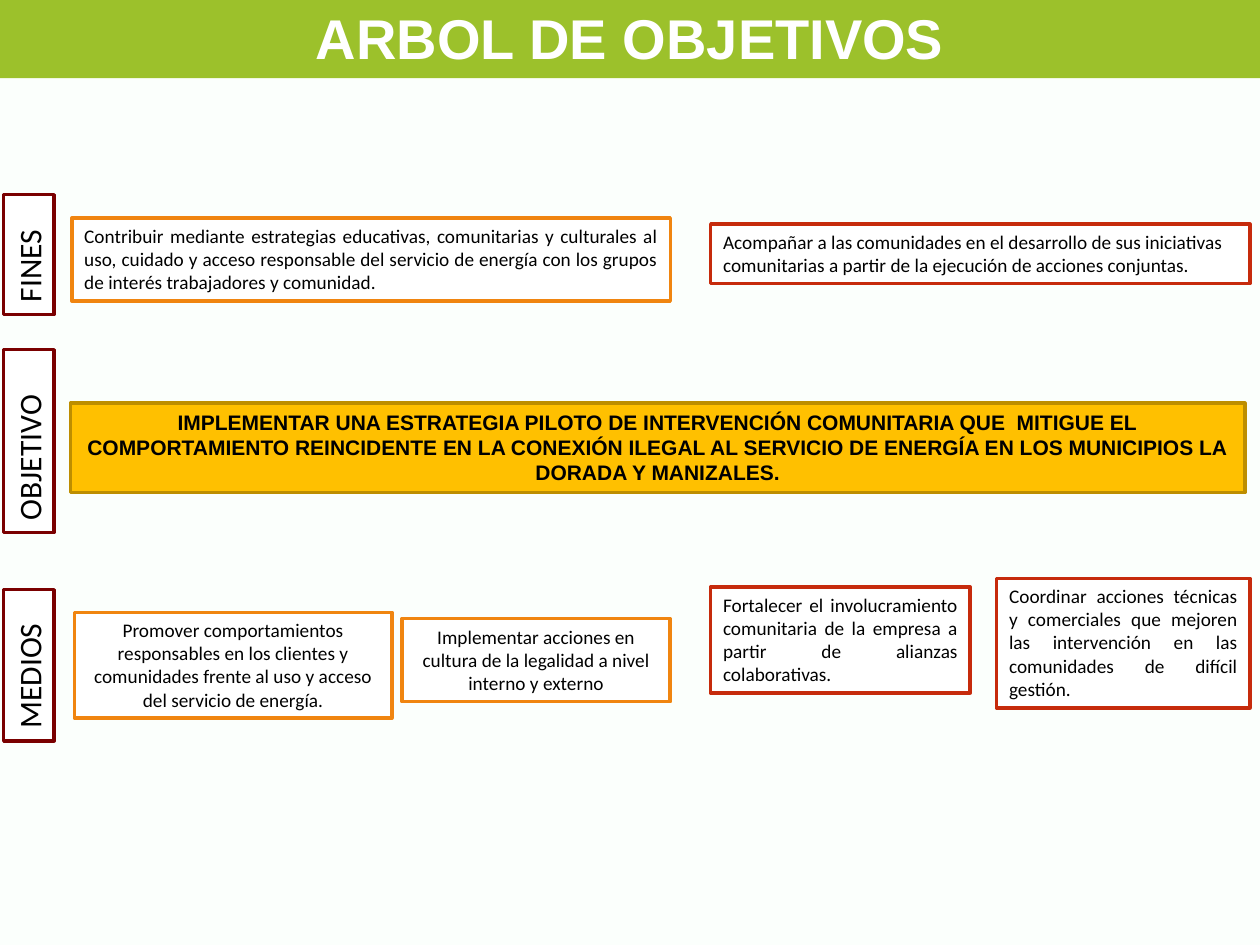
from pptx import Presentation
from pptx.dml.color import RGBColor
from pptx.enum.shapes import MSO_SHAPE
from pptx.enum.text import MSO_ANCHOR, MSO_AUTO_SIZE, PP_ALIGN
from pptx.util import Inches, Pt

TITLE = "ARBOL DE OBJETIVOS"
OBJECTIVE = (
    "IMPLEMENTAR UNA ESTRATEGIA PILOTO DE INTERVENCIÓN COMUNITARIA QUE  MITIGUE EL "
    "COMPORTAMIENTO REINCIDENTE EN LA CONEXIÓN ILEGAL AL SERVICIO DE ENERGÍA EN LOS "
    "MUNICIPIOS LA DORADA Y MANIZALES."
)
ORANGE, RED, MAROON = "F08510", "C62B0C", "7A0000"
LEFT, CENTER, JUSTIFY = PP_ALIGN.LEFT, PP_ALIGN.CENTER, PP_ALIGN.JUSTIFY

CARDS = [
    ("Contribuir mediante estrategias educativas, comunitarias y culturales al uso, cuidado y "
     "acceso responsable del servicio de energía con los grupos de interés trabajadores y "
     "comunidad.", (0.57, 1.73, 4.75, 0.66), ORANGE, JUSTIFY),
    ("Acompañar a las comunidades en el desarrollo de sus iniciativas comunitarias a partir de "
     "la ejecución de acciones conjuntas.", (5.64, 1.78, 4.28, 0.47), RED, LEFT),
    ("Promover comportamientos responsables en los clientes y comunidades frente al uso y "
     "acceso del servicio de energía.", (0.59, 4.86, 2.52, 0.84), ORANGE, CENTER),
    ("Implementar acciones en cultura de la legalidad a nivel interno y externo",
     (3.19, 4.91, 2.13, 0.66), ORANGE, CENTER),
    ("Fortalecer el involucramiento comunitaria de la empresa a partir de alianzas "
     "colaborativas.", (5.64, 4.66, 2.06, 0.84), RED, JUSTIFY),
    ("Coordinar acciones técnicas y comerciales que mejoren las intervención en las "
     "comunidades de difícil gestión.", (7.91, 4.59, 2.01, 1.03), RED, JUSTIFY),
]
LABELS = [("FINES", 2.02, 0.95), ("OBJETIVO", 3.5, 1.45), ("MEDIOS", 5.28, 1.2)]
LABEL_CENTER, LABEL_THICKNESS = 0.23, 0.4


def color(value):
    """Turn a hex string into a colour."""
    return RGBColor.from_string(value)


def place(shape, bounds):
    """Set left, top, width and height in inches."""
    shape.left, shape.top, shape.width, shape.height = map(Inches, bounds)


def write(shape, text, size, align, font="Calibri", ink="000000", bold=False):
    """Fill a shape with one formatted paragraph."""
    frame = shape.text_frame
    frame.text = text
    frame.word_wrap = True
    frame.auto_size = MSO_AUTO_SIZE.NONE
    frame.vertical_anchor = MSO_ANCHOR.TOP
    para = frame.paragraphs[0]
    para.alignment = align
    span = para.runs[0].font
    span.name, span.size, span.bold = font, Pt(size), bold
    span.color.rgb = color(ink)


def add_box(page, bounds, fill, line):
    """Add a flat outlined rectangle."""
    box = page.shapes.add_shape(MSO_SHAPE.RECTANGLE, *map(Inches, bounds))
    box.shadow.inherit = False
    box.fill.solid()
    box.fill.fore_color.rgb = color(fill)
    box.line.color.rgb = color(line)
    box.line.width = Pt(2)
    return box


def main():
    """Build the objectives tree slide."""
    deck = Presentation()
    deck.slide_width, deck.slide_height = Inches(10), Inches(7.5)
    page = deck.slides.add_slide(deck.slide_layouts[5])
    page.background.fill.solid()
    page.background.fill.fore_color.rgb = color("FBFFFC")

    title = page.shapes.title
    place(title, (0, -0.02, 10, 0.64))
    title.fill.solid()
    title.fill.fore_color.rgb = color("9CC12B")
    write(title, TITLE, 32, CENTER, "Arial", "FFFFFF", True)

    objective = add_box(page, (0.56, 3.2, 9.32, 0.71), "FFC000", "BD8E00")
    write(objective, OBJECTIVE, 12, CENTER, "Arial", bold=True)

    for text, bounds, line, align in CARDS:
        write(add_box(page, bounds, "FFFFFF", line), text, 11, align)

    for text, middle, length in LABELS:
        bounds = (LABEL_CENTER - length / 2, middle - LABEL_THICKNESS / 2, length, LABEL_THICKNESS)
        label = add_box(page, bounds, "FFFFFF", MAROON)
        label.rotation = 270
        write(label, text, 18, LEFT)

    deck.save("out.pptx")


if __name__ == "__main__":
    main()
